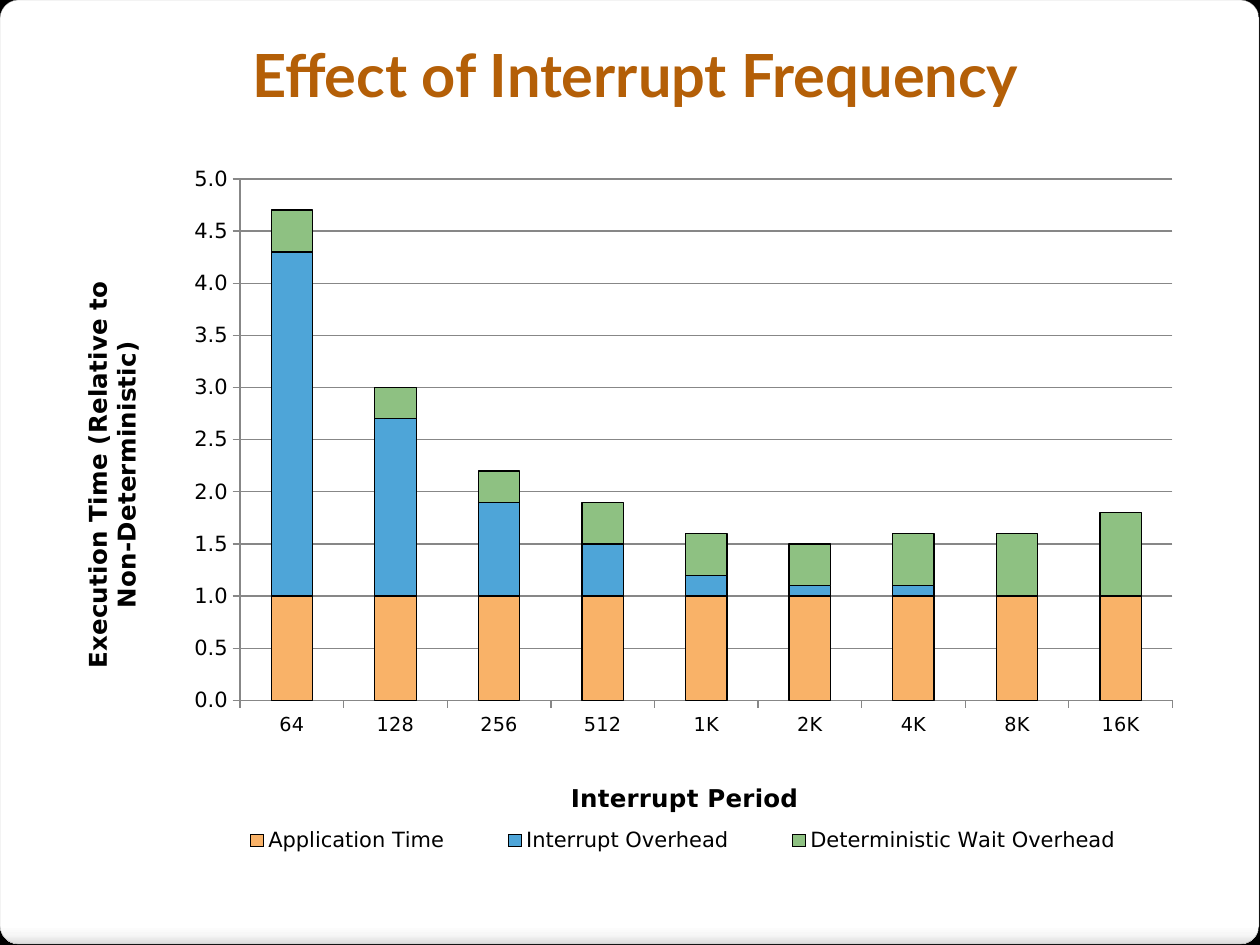
"""Build the slide on the effect of interrupt frequency."""
from dataclasses import dataclass

from lxml import etree
from pptx import Presentation
from pptx import util as u
from pptx.chart.data import CategoryChartData
from pptx.dml.color import RGBColor
from pptx.enum import chart as ch
from pptx.enum import shapes, text
from pptx.oxml.ns import qn


@dataclass(frozen=True)
class Theme:
    background: str = "000000"
    panel_line: str = "A4A4A4"
    panel_stops: tuple = ((0, "FFFFFF"), (98, "FFFFFF"), (99, "F7F7F7"), (100, "DADADA"))
    title: str = "B45F07"
    ink: str = "000000"
    grid: str = "878787"
    series: tuple = ("F9B268", "4EA5D8", "8EC182")
    title_font: str = "Lato"
    chart_font: str = "DejaVu Sans"
    title_size: int = 34
    axis_title_size: int = 14
    label_size: int = 12
    category_size: int = 11


def rgb(value):
    return RGBColor.from_string(value)


def style_font(font, *, name, size, color, bold=False):
    font.name, font.size, font.bold = name, u.Pt(size), bold
    font.color.rgb = rgb(color)


def put_text(tf, content, *, align=text.PP_ALIGN.CENTER, **fmt):
    for i, line in enumerate(content.split("\n")):
        p = tf.add_paragraph() if i else tf.paragraphs[0]
        p.alignment = align
        r = p.add_run()
        r.text = line
        style_font(r.font, **fmt)


def set_layout(parent, *, inner=False, **places):
    layout = parent.find(qn("c:layout"))
    if layout is None:
        layout = etree.Element(qn("c:layout"))
        parent.insert(0, layout)
    manual = etree.SubElement(layout, qn("c:manualLayout"))
    settings = [("layoutTarget", "inner")] if inner else []
    settings += [("xMode", "edge"), ("yMode", "edge"), *places.items()]
    for tag, value in settings:
        etree.SubElement(manual, qn(f"c:{tag}")).set("val", str(value))


class Deck:
    def __init__(self, theme, width, height):
        self.theme = theme
        self.prs = Presentation()
        self.prs.slide_width, self.prs.slide_height = u.Pt(width), u.Pt(height)
        self.s = self.prs.slides.add_slide(self.prs.slide_layouts[6])
        fill = self.s.background.fill
        fill.solid()
        fill.fore_color.rgb = rgb(theme.background)

    def panel(self, *box):
        sp = self.s.shapes.add_shape(shapes.MSO_SHAPE.ROUNDED_RECTANGLE, *map(u.Pt, box))
        sp.shadow.inherit = False
        sp.adjustments[0] = 0.02
        sp.line.color.rgb = rgb(self.theme.panel_line)
        sp.line.width = u.Pt(0.16)
        sp.fill.gradient()
        sp.fill.gradient_angle = 270
        stops = sp.element.spPr.find(".//" + qn("a:gsLst"))
        for stop in list(stops):
            stops.remove(stop)
        for percent, color in self.theme.panel_stops:
            stop = etree.SubElement(stops, qn("a:gs"), pos=str(percent * 1000))
            etree.SubElement(stop, qn("a:srgbClr"), val=color)

    def title(self, content, *box):
        tf = self.s.shapes.add_textbox(*map(u.Pt, box)).text_frame
        tf.word_wrap = True
        tf.vertical_anchor = text.MSO_ANCHOR.MIDDLE
        t = self.theme
        put_text(tf, content, name=t.title_font, size=t.title_size, color=t.title, bold=True)

    def axis(self, axis, title, size, rotation, x, y):
        t = self.theme
        style_font(axis.tick_labels.font, name=t.chart_font, size=size, color=t.ink)
        axis.major_tick_mark = ch.XL_TICK_MARK.OUTSIDE
        axis.minor_tick_mark = ch.XL_TICK_MARK.NONE
        axis.format.line.color.rgb = rgb(t.grid)
        tf = axis.axis_title.text_frame
        put_text(tf, title, name=t.chart_font, size=t.axis_title_size, color=t.ink, bold=True)
        frame = axis.axis_title._element
        frame.find(".//" + qn("a:bodyPr")).set("rot", str(rotation * 60000))
        set_layout(frame, x=x, y=y)

    def stacked_chart(self, categories, series, *box):
        t = self.theme
        data = CategoryChartData(number_format="0.0")
        data.categories = categories
        for name, values in series.items():
            data.add_series(name, values)
        chart = self.s.shapes.add_chart(
            ch.XL_CHART_TYPE.COLUMN_STACKED, *map(u.Pt, box), data).chart
        style_font(chart.font, name=t.chart_font, size=t.label_size, color=t.ink)
        chart.has_title = False

        plot = chart.plots[0]
        plot.overlap, plot.gap_width, plot.vary_by_categories = 100, 150, False
        for ser, color in zip(plot.series, t.series):
            ser.format.fill.solid()
            ser.format.fill.fore_color.rgb = rgb(color)
            ser.format.line.color.rgb = rgb(t.ink)
            ser.format.line.width = u.Pt(0.75)
        area = chart._chartSpace.find(".//" + qn("c:plotArea"))
        set_layout(area, inner=True, x=0.17, y=0.07, w=0.8, h=0.69)

        self.axis(chart.category_axis, "Interrupt Period", t.category_size, 0, 0.45, 0.86)
        value = chart.value_axis
        self.axis(value, "Execution Time (Relative to\nNon-Deterministic)",
                  t.label_size, -90, 0.03, 0.2)
        value.minimum_scale, value.maximum_scale, value.major_unit = 0, 5, 0.5
        value.tick_labels.number_format = "#,##0.0"
        value.tick_labels.number_format_is_linked = False
        value.has_major_gridlines = True
        value.major_gridlines.format.line.color.rgb = rgb(t.grid)

        chart.has_legend = True
        legend = chart.legend
        legend.position = ch.XL_LEGEND_POSITION.BOTTOM
        legend.include_in_layout = False
        style_font(legend.font, name=t.chart_font, size=t.label_size, color=t.ink)
        set_layout(legend._element, x=0.13, y=0.91, w=0.84, h=0.07)


def main():
    deck = Deck(Theme(), 720, 540)
    deck.panel(0, 0, 719.5, 539.5)
    deck.title("Effect of Interrupt Frequency", 18, 12, 690, 60)
    deck.stacked_chart(
        ["64", "128", "256", "512", "1K", "2K", "4K", "8K", "16K"],
        {
            "Application Time": [1] * 9,
            "Interrupt Overhead": [3.3, 1.7, 0.9, 0.5, 0.2, 0.1, 0.1, 0, 0],
            "Deterministic Wait Overhead": [0.4, 0.3, 0.3, 0.4, 0.4, 0.4, 0.5, 0.6, 0.8],
        },
        24, 72, 666, 432)
    deck.prs.save("out.pptx")


if __name__ == "__main__":
    main()
